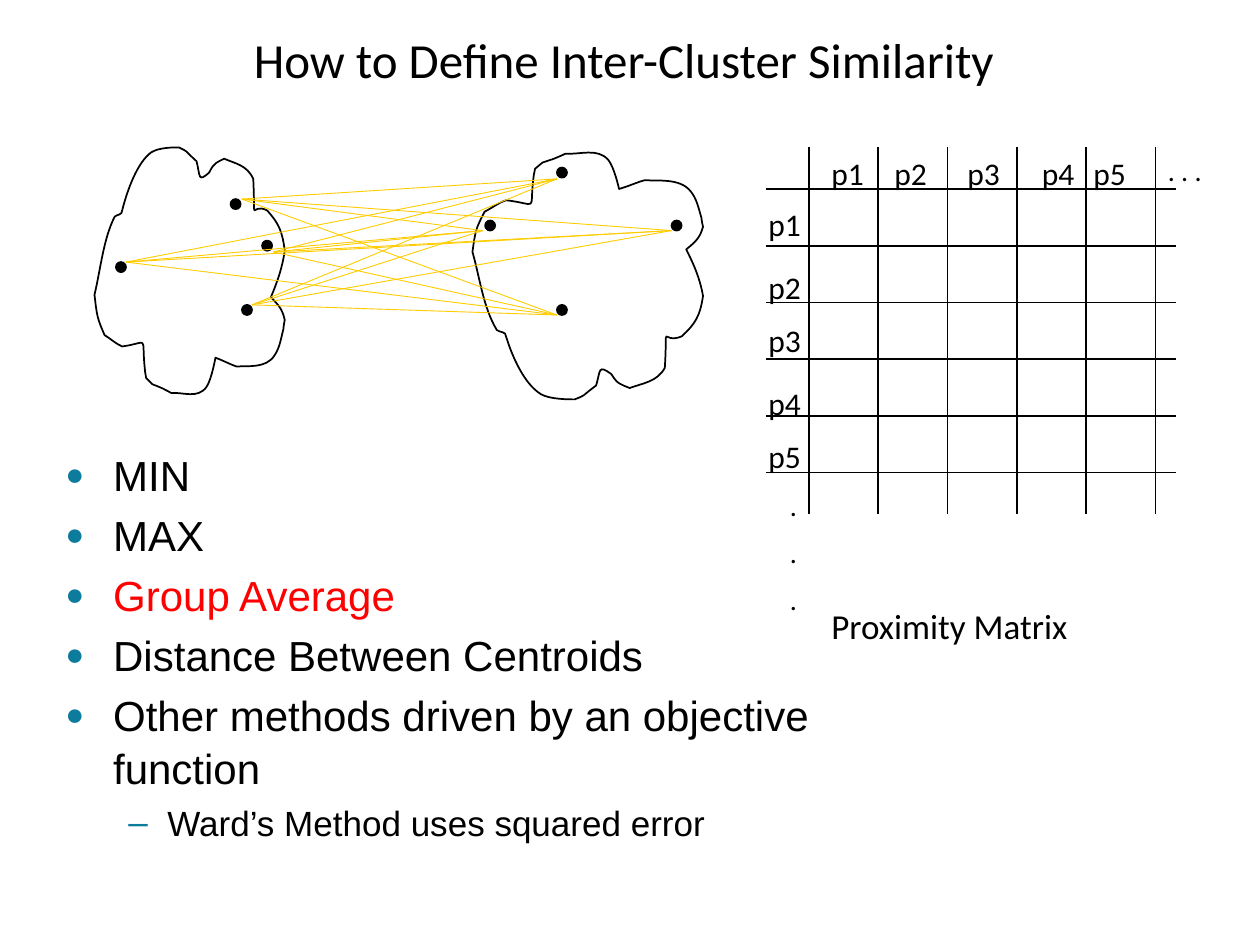
from itertools import product

from lxml import etree
from pptx import Presentation
from pptx.dml.color import RGBColor
from pptx.enum.shapes import MSO_CONNECTOR, MSO_SHAPE
from pptx.enum.text import MSO_ANCHOR, PP_ALIGN
from pptx.oxml.ns import qn
from pptx.util import Inches, Pt

STRAIGHT = MSO_CONNECTOR.STRAIGHT
OVAL = MSO_SHAPE.OVAL
MIDDLE = MSO_ANCHOR.MIDDLE
CENTER = PP_ALIGN.CENTER

theme = {
    "ink": RGBColor(0, 0, 0), "accent": RGBColor(255, 0, 0),
    "link": RGBColor(255, 204, 0), "bullet": "0C7B9C",
    "head": "Calibri", "body": "Arial",
    "title": 28, "list": 24, "sub": 20, "name": 20, "label": 18, "dots": 16,
}

deck = Presentation()
deck.slide_width, deck.slide_height = Inches(10), Inches(7.5)
slide = deck.slides.add_slide(deck.slide_layouts[6])
shapes = slide.shapes


def add_text(text, left, top, width, height, size, font=theme["head"]):
    box = shapes.add_textbox(Inches(left), Inches(top), Inches(width), Inches(height))
    frame = box.text_frame
    frame.word_wrap = True
    frame.text = text
    for para in frame.paragraphs:
        for run in para.runs:
            run.font.size = Pt(size)
            run.font.name = font
            run.font.color.rgb = theme["ink"]
    return frame


def add_line(x1, y1, x2, y2, color, width):
    line = shapes.add_connector(STRAIGHT, Inches(x1), Inches(y1), Inches(x2), Inches(y2))
    line.line.color.rgb = color
    line.line.width = Pt(width)
    etree.SubElement(line._element.spPr, qn("a:effectLst"))


# Title
title = add_text("How to Define Inter-Cluster Similarity", 0.42, 0.17, 9.06, 0.6, theme["title"])
title.vertical_anchor = MIDDLE
title.paragraphs[0].alignment = CENTER

# Matrix grid
for i in range(6):
    x, y = 6.42 + 0.55 * i, 1.5 + 0.45 * i
    add_line(x, 1.17, x, 4.08, theme["ink"], 1)
    add_line(6.08, y, 9.33, y, theme["ink"], 1)

# Matrix labels
cols = [6.5, 7, 7.58, 8.17, 8.58]
rows = [1.58, 2.08, 2.5, 3, 3.42]
for i, (x, y) in enumerate(zip(cols, rows), 1):
    add_text(f"p{i}", x, 1.17, 0.58, 0.33, theme["label"])
    add_text(f"p{i}", 6, y, 0.58, 0.33, theme["label"])
add_text(". . .", 9.17, 1.17, 0.58, 0.37, theme["dots"])
dots = add_text(".\n.\n.", 6.17, 3.83, 0.58, 1.17, theme["dots"])
for para in dots.paragraphs:
    para.space_before = Pt(7.5)
add_text("Proximity Matrix", 6.5, 4.75, 2.75, 0.43, theme["name"])

# Cluster outlines: a start point, then three points for each curve
outline = [
    (0.91, 1.72),
    (0.82, 1.9), (0.8, 2.13), (0.75, 2.34), (0.77, 2.51), (0.77, 2.52), (0.83, 2.66),
    (0.88, 2.69), (0.92, 2.73), (0.97, 2.75), (1.19, 2.72), (1.12, 2.65), (1.15, 2.93),
    (1.15, 2.96), (1.16, 2.98), (1.16, 3), (1.23, 3.07), (1.19, 3.04), (1.26, 3.07),
    (1.29, 3.08), (1.36, 3.12), (1.36, 3.12), (1.45, 3.11), (1.57, 3.17), (1.64, 3.07),
    (1.68, 3.01), (1.71, 2.84), (1.71, 2.84), (1.77, 2.86), (1.82, 2.89), (1.88, 2.91),
    (1.96, 2.9), (2.11, 2.93), (2.18, 2.82), (2.22, 2.76), (2.23, 2.69), (2.25, 2.61),
    (2.25, 2.59), (2.26, 2.54), (2.26, 2.54), (2.24, 2.45), (2.21, 2.42), (2.15, 2.36),
    (2.2, 2.24), (2.24, 2.13), (2.26, 1.99), (2.24, 1.83), (2.21, 1.77), (2.12, 1.67),
    (1.98, 1.6), (2.03, 1.82), (2.01, 1.42), (1.96, 1.31), (1.87, 1.3), (1.78, 1.26),
    (1.72, 1.29), (1.7, 1.29), (1.66, 1.37), (1.57, 1.45), (1.59, 1.4), (1.56, 1.28),
    (1.45, 1.18), (1.5, 1.21), (1.42, 1.17), (1.38, 1.17), (1.26, 1.17), (1.2, 1.21),
    (1.09, 1.29), (1.01, 1.51), (0.97, 1.67), (0.97, 1.71), (0.93, 1.7), (0.91, 1.72),
]
# The right cluster is the left one, widened and flipped top to bottom
flipped = [(3.75 + (x - 0.75) * 1.83 / 1.51, 4.34 - y) for x, y in outline]
for points in (outline, flipped):
    spots = [(Inches(x), Inches(y)) for x, y in points]
    maker = shapes.build_freeform(*spots[0])
    maker.add_line_segments(spots[1:], close=True)
    blob = maker.convert_to_shape()
    blob.shadow.inherit = False
    blob.fill.background()
    blob.line.color.rgb = theme["ink"]
    blob.line.width = Pt(1)
    # Turn each three segments into one curve
    steps = list(blob._element.iter(qn("a:lnTo")))
    for i in range(0, len(steps), 3):
        curve = etree.Element(qn("a:cubicBezTo"))
        steps[i].addprevious(curve)
        for step in steps[i:i + 3]:
            curve.append(step[0])
            step.getparent().remove(step)

# Cluster points
for x, y in [(1.92, 2.42), (1.83, 1.58), (0.92, 2.08), (2.08, 1.91),
             (5.33, 1.75), (3.85, 1.75), (4.42, 2.42), (4.42, 1.33)]:
    dot = shapes.add_shape(OVAL, Inches(x), Inches(y), Inches(0.08), Inches(0.08))
    dot.shadow.inherit = False
    dot.fill.solid()
    dot.fill.fore_color.rgb = theme["ink"]
    dot.line.color.rgb = theme["ink"]
    dot.line.width = Pt(1)

# Links from every left point to every right point
left = [(2, 2.42), (2.17, 2), (1, 2.08), (1.92, 1.58)]
right = [(4.42, 2.5), (3.83, 1.83), (4.42, 1.42), (5.33, 1.83)]
for start, end in product(left, right):
    add_line(*start, *end, theme["link"], 0.5)

# Bullet list
items = ["MIN", "MAX", "Group Average", "Distance Between Centroids",
         "Other methods driven by an objective function",
         "Ward’s Method uses squared error"]
paras = add_text("\n".join(items), 0.42, 3.5, 6.33, 3.42, theme["list"], theme["body"]).paragraphs
for para in paras:
    sub = para is paras[-1]
    margin, hang, mark, scale = (0.81, 0.31, "–", 100) if sub else (0.38, 0.38, "●", 75)
    para.level = int(sub)
    para.line_spacing = 1.05
    para.space_before = para.space_after = Pt(2)
    props = para._p.get_or_add_pPr()
    props.set("marL", str(Inches(margin)))
    props.set("indent", str(-Inches(hang)))
    tint = etree.SubElement(props, qn("a:buClr"))
    etree.SubElement(tint, qn("a:srgbClr"), val=theme["bullet"])
    etree.SubElement(props, qn("a:buSzPct"), val=str(scale * 1000))
    etree.SubElement(props, qn("a:buFont"), typeface=theme["body"])
    etree.SubElement(props, qn("a:buChar"), char=mark)
paras[2].runs[0].font.color.rgb = theme["accent"]
paras[-1].runs[0].font.size = Pt(theme["sub"])

deck.save("out.pptx")
